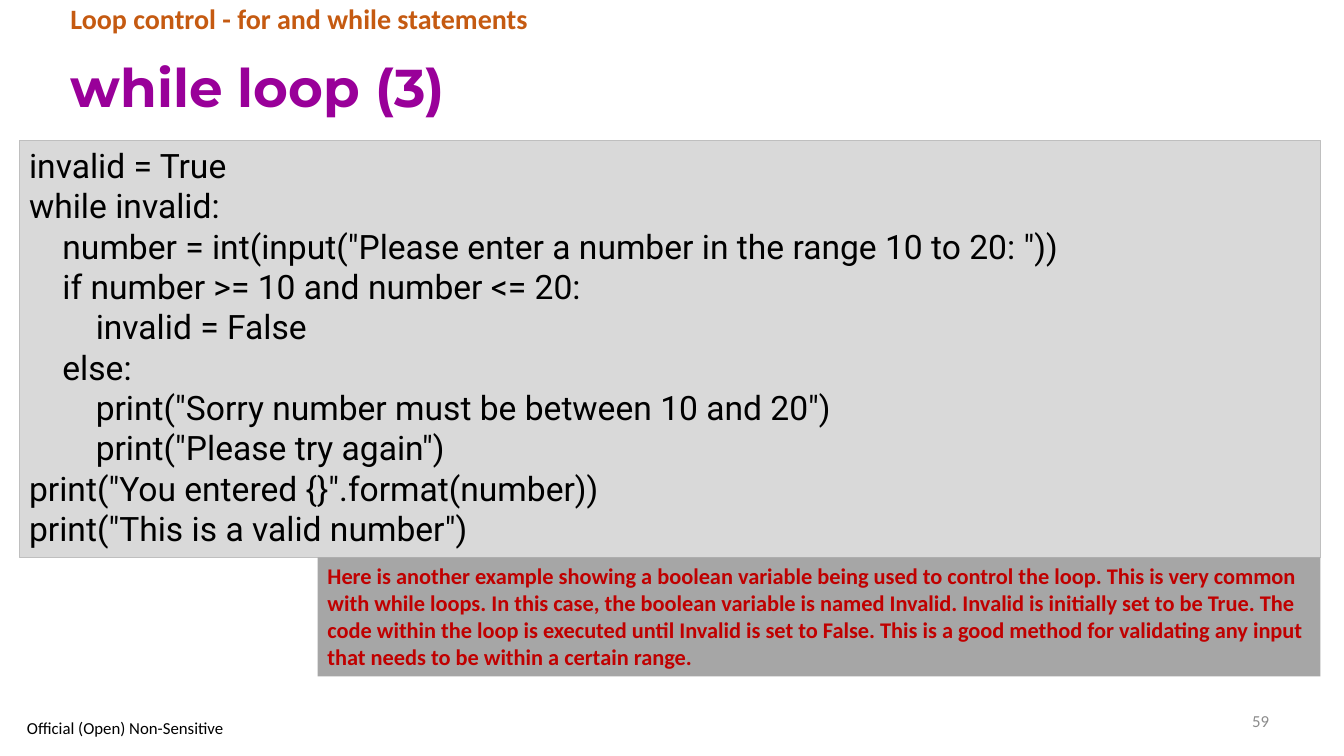
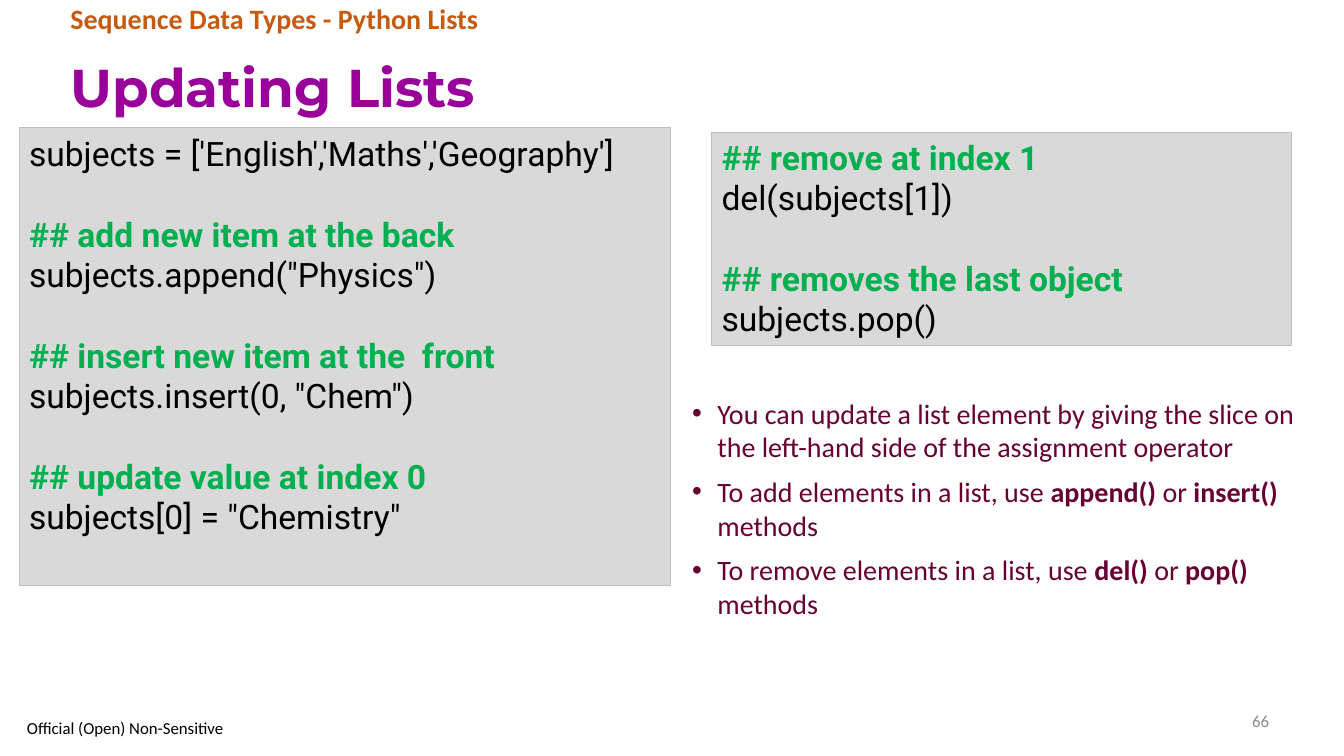
from lxml import etree
from pptx import Presentation
from pptx.dml.color import RGBColor
from pptx.enum.shapes import MSO_SHAPE
from pptx.enum.text import MSO_ANCHOR, PP_ALIGN
from pptx.oxml.ns import qn
from pptx.util import Pt

RECTANGLE = MSO_SHAPE.RECTANGLE
TOP, MIDDLE = MSO_ANCHOR.TOP, MSO_ANCHOR.MIDDLE
LEFT, RIGHT = PP_ALIGN.LEFT, PP_ALIGN.RIGHT

PURPLE = RGBColor(0x99, 0x00, 0x99)
ORANGE = RGBColor(0xC5, 0x5A, 0x11)
GREY_TEXT = RGBColor(0x8C, 0x8C, 0x8C)
BLACK = RGBColor(0x00, 0x00, 0x00)
GREEN = RGBColor(0x00, 0xB0, 0x50)
RED = RGBColor(0xC0, 0x00, 0x00)
PLUM = RGBColor(0x66, 0x00, 0x33)
CODE_FILL = RGBColor(0xD9, 0xD9, 0xD9)
CODE_EDGE = RGBColor(0xBF, 0xBF, 0xBF)
NOTE_FILL = RGBColor(0xA6, 0xA6, 0xA6)

CODE_LINE = 28.8
BULLET_INDENT = 18

WHILE_CODE = '''invalid = True
while invalid:
    number = int(input("Please enter a number in the range 10 to 20: "))
    if number >= 10 and number <= 20:
        invalid = False
    else:
        print("Sorry number must be between 10 and 20")
        print("Please try again")
print("You entered {}".format(number))
print("This is a valid number")'''

UPDATE_CODE = '''subjects = ['English','Maths','Geography']
## add new item at the back
subjects.append("Physics")
## insert new item at the  front
subjects.insert(0, "Chem")
## update value at index 0
subjects[0] = "Chemistry"'''

REMOVE_CODE = '''## remove at index 1
del(subjects[1])
## removes the last object
subjects.pop()'''

WHILE_NOTE = (
    "Here is another example showing a boolean variable being used to control the loop. "
    "This is very common with while loops. In this case, the boolean variable is named "
    "Invalid. Invalid is initially set to be True. The code within the loop is executed "
    "until Invalid is set to False. This is a good method for validating any input that "
    "needs to be within a certain range."
)

# Every second piece of a bullet is bold.
LIST_BULLETS = [
    ["You can update a list element by giving the slice on the left-hand side "
     "of the assignment operator"],
    ["To add elements in a list, use ", "append()", " or ", "insert() ", "methods"],
    ["To remove elements in a list, use ", "del()", " or ", "pop() ", "methods"],
]

# Topic, title, page number, code boxes (left, top, width, height, code)
SLIDES = [
    ("Loop control - for and while statements", "while loop (3)", "59",
     [(13.7, 100.1, 929.5, 298.1, WHILE_CODE)]),
    ("Sequence Data Types - Python Lists", "Updating Lists", "66",
     [(13.7, 91.4, 465.1, 326.9, UPDATE_CODE),
      (508.3, 94.3, 414, 152.6, REMOVE_CODE)]),
]


def add_text(slide, box, text, font, size, color, bold=False,
             anchor=TOP, align=LEFT, spacing=None, fill=None, edge=None):
    """Add left-to-right text, one paragraph a line, on a rectangle if filled."""
    area = [Pt(value) for value in box]
    if fill is None:
        shape = slide.shapes.add_textbox(*area)
    else:
        shape = slide.shapes.add_shape(RECTANGLE, *area)
        shape.shadow.inherit = False
        shape.fill.solid()
        shape.fill.fore_color.rgb = fill
        if edge is None:
            shape.line.fill.background()
        else:
            shape.line.color.rgb = edge
            shape.line.width = Pt(0.75)
    frame = shape.text_frame
    frame.word_wrap = True
    frame.vertical_anchor = anchor
    frame.text = text
    for paragraph in frame.paragraphs:
        paragraph.alignment = align
        if spacing:
            paragraph.line_spacing = spacing
        for run in paragraph.runs:
            style_run(run, font, size, color, bold)
    return frame


def style_run(run, font, size, color, bold):
    run.font.name = font
    run.font.size = Pt(size)
    run.font.color.rgb = color
    run.font.bold = bold


prs = Presentation()
prs.slide_width, prs.slide_height = Pt(960), Pt(540)
blank = prs.slide_layouts[6]

for topic, title, page, code_boxes in SLIDES:
    slide = prs.slides.add_slide(blank)
    add_text(slide, (43.2, 29.5, 870.5, 69.8), title, "Montserrat", 38, PURPLE,
             bold=True, anchor=MIDDLE, spacing=0.9)
    add_text(slide, (678.2, 500.4, 235.4, 28.8), page, "Calibri", 12, GREY_TEXT,
             anchor=MIDDLE, align=RIGHT)
    add_text(slide, (43.2, 0, 744.5, 29.5), topic, "Calibri", 20, ORANGE,
             bold=True, spacing=0.9)
    add_text(slide, (12.2, 510.5, 161.3, 18.7), "Official (Open) Non-Sensitive",
             "Calibri", 12, BLACK, anchor=MIDDLE)
    for *box, code in code_boxes:
        listing = add_text(slide, box, code, "Roboto", 24, BLACK,
                           fill=CODE_FILL, edge=CODE_EDGE)
        for number, line in enumerate(listing.paragraphs):
            if line.text.startswith("##"):
                style_run(line.runs[0], "Roboto", 24, GREEN, True)
                if number:
                    line.space_before = Pt(CODE_LINE)

while_slide, lists_slide = prs.slides

add_text(while_slide, (226.8, 398.2, 716.4, 85), WHILE_NOTE, "Calibri", 16, RED,
         bold=True, fill=NOTE_FILL)

advice = add_text(lists_slide, (487.4, 279.4, 455.8, 170), "", "Calibri", 20, PLUM)
for number, pieces in enumerate(LIST_BULLETS):
    bullet = advice.add_paragraph() if number else advice.paragraphs[0]
    if number:
        bullet.space_before = Pt(8)
    properties = bullet._p.get_or_add_pPr()
    properties.set("marL", str(Pt(BULLET_INDENT)))
    properties.set("indent", str(-Pt(BULLET_INDENT)))
    etree.SubElement(properties, qn("a:buFont"), typeface="Arial")
    etree.SubElement(properties, qn("a:buChar"), char="•")
    for position, piece in enumerate(pieces):
        run = bullet.add_run()
        run.text = piece
        style_run(run, "Calibri", 20, PLUM, position % 2 == 1)

prs.save("out.pptx")
